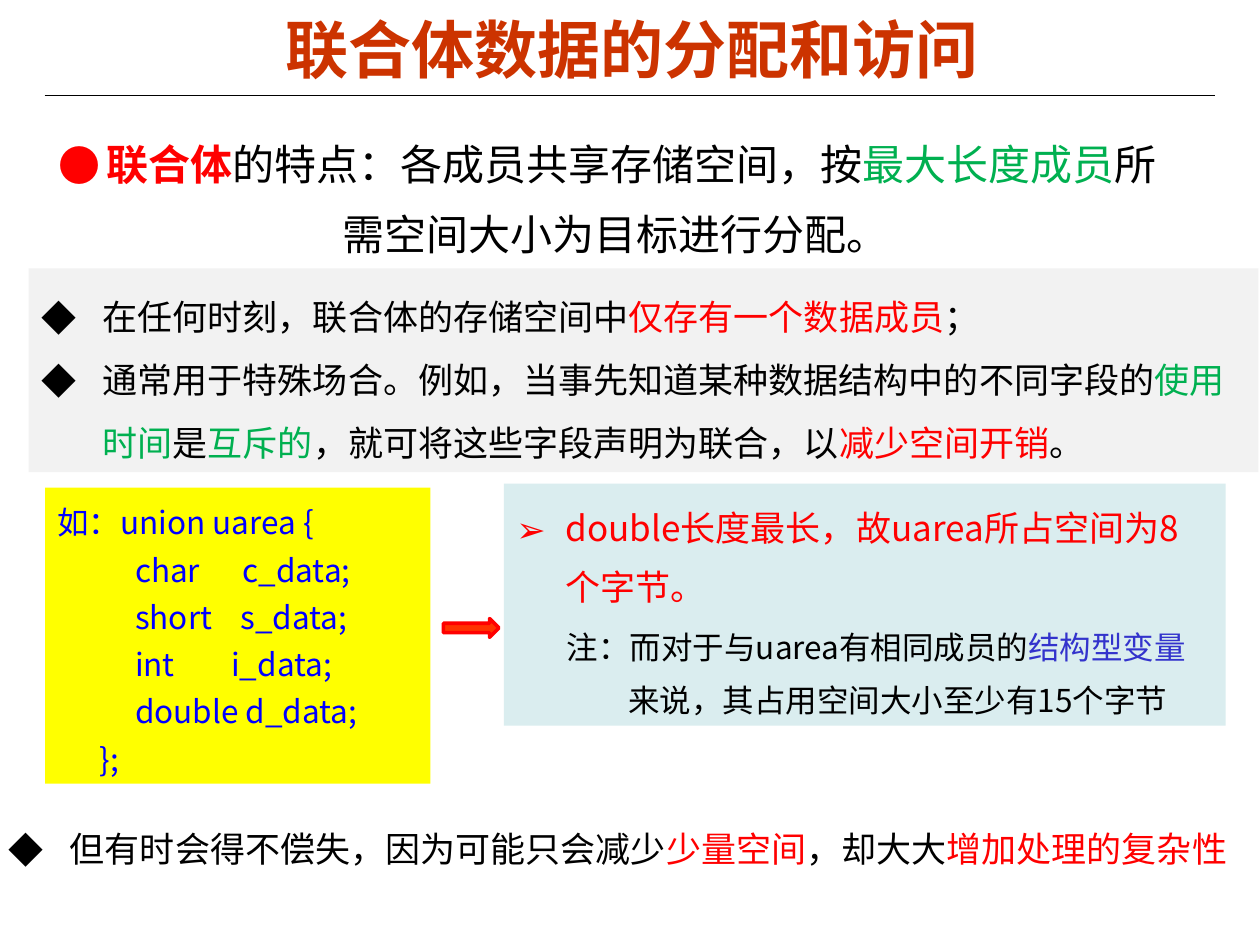
"""Build the slide on how union data is allocated and accessed."""
from dataclasses import dataclass

import pptx
import pptx.dml.color
import pptx.enum.shapes
import pptx.enum.text
import pptx.oxml
import pptx.oxml.ns
import pptx.util
from lxml import etree

Cm = pptx.util.Cm
Pt = pptx.util.Pt
RGB = pptx.dml.color.RGBColor.from_string
SHAPES = pptx.enum.shapes.MSO_SHAPE
ANCHOR = pptx.enum.text.MSO_ANCHOR
qn = pptx.oxml.ns.qn


@dataclass(frozen=True)
class Theme:
    black: str = "000000"
    red: str = "FF0000"
    green: str = "00B050"
    blue: str = "0000FF"
    violet: str = "3333CC"
    title: str = "CC3300"
    arrow: str = "FF3300"
    yellow: str = "FFFF00"
    teal: str = "DAEDEF"
    grey: str = "F2F2F2"
    sans: str = "Arial"
    cjk: str = "Noto Sans CJK SC"
    title_size: int = 36
    lead_size: int = 24
    body_size: int = 20
    small_size: int = 18


theme = Theme()


def add_panel(page, left, top, width, height, fill=None):
    """Add a wrapping text panel, filled when a colour is given."""
    box = page.shapes.add_textbox(Cm(left), Cm(top), Cm(width), Cm(height))
    box.text_frame.word_wrap = True
    if fill:
        box.fill.solid()
        box.fill.fore_color.rgb = RGB(fill)
    return box


def add_para(box, spans, size, font, spacing=1.0, margin=0, hang=0, bullet=None, before=0):
    """Add a paragraph made of (text, colour, bold) spans."""
    frame = box.text_frame
    para = frame.paragraphs[0]
    if para.runs:
        para = frame.add_paragraph()
    props = para._p.get_or_add_pPr()
    props.set("marL", str(Cm(margin)))
    props.set("indent", str(-Cm(hang)))
    if bullet:
        mark, colour = bullet
        holder = etree.SubElement(props, qn("a:buClr"))
        etree.SubElement(holder, qn("a:srgbClr"), val=colour)
        etree.SubElement(props, qn("a:buFont"), typeface=theme.cjk)
        etree.SubElement(props, qn("a:buChar"), char=mark)
    para.line_spacing = spacing
    if before:
        para.space_before = Pt(before)
    for text, colour, *bold in spans:
        span = para.add_run()
        span.text = text
        span.font.size = Pt(size)
        span.font.bold = bool(bold)
        span.font.color.rgb = RGB(colour)
        span.font.name = font
        east = etree.Element(qn("a:ea"), typeface=theme.cjk)
        span._r.rPr.find(qn("a:latin")).addnext(east)
    return para


deck = pptx.Presentation()
deck.slide_width, deck.slide_height = Cm(25.4), Cm(19.05)
page = deck.slides.add_slide(deck.slide_layouts[6])

rule = page.shapes.add_connector(
    pptx.enum.shapes.MSO_CONNECTOR.STRAIGHT, Cm(0.9), Cm(1.93), Cm(24.5), Cm(1.93))
rule.line.color.rgb = RGB(theme.black)
rule.line.width = Pt(0.75)
etree.SubElement(rule._element.spPr, qn("a:effectLst"))

heading = add_panel(page, 1.32, 0.2, 22.86, 1.55)
heading.text_frame.vertical_anchor = ANCHOR.MIDDLE
para = add_para(heading, [("联合体数据的分配和访问", theme.title, True)], theme.title_size, theme.sans)
para.alignment = pptx.enum.text.PP_ALIGN.CENTER

lead = add_panel(page, 0.94, 2.26, 23.22, 3.18)
add_para(lead, [
    ("联合体", theme.red, True),
    ("的特点：各成员共享存储空间，按", theme.black),
    ("最大长度成员", theme.green),
    ("所", theme.black),
], theme.lead_size, theme.sans, 1.4, 0.96, 0.96, ("●", theme.red))
add_para(lead, [("需空间大小为目标进行分配。", theme.black)],
         theme.lead_size, theme.sans, 1.4, 5.72)

code = add_panel(page, 0.91, 9.83, 7.77, 5.97, theme.yellow)
code.text_frame.vertical_anchor = ANCHOR.MIDDLE
for line in (
    "如：union uarea {",
    "           char      c_data;",
    "           short    s_data;",
    "           int        i_data;",
    "           double d_data;",
    "      };",
):
    add_para(code, [(line, theme.blue)], theme.small_size, theme.cjk, 1.25)

result = add_panel(page, 10.16, 9.75, 14.55, 4.88, theme.teal)
add_para(result, [("double长度最长，故uarea所占空间为8个字节。", theme.red)],
         theme.body_size, theme.cjk, 1.4, 0.99, 0.99, ("➢", theme.red))
add_para(result, [
    ("注：而对于与uarea有相同成员的", theme.black),
    ("结构型变量", theme.violet),
    ("来说，其占用空间大小至少有15个字节", theme.black),
], theme.small_size, theme.cjk, 1.4, 2.26, 1.24, before=3.4)

usage = add_panel(page, 0.58, 5.41, 24.79, 4.11, theme.grey)
caveat = add_panel(page, -0.08, 16.13, 25.27, 1.52)
for box, spans in (
    (usage, [
        ("在任何时刻，联合体的存储空间中", theme.black),
        ("仅存有一个数据成员", theme.red),
        ("；", theme.black),
    ]),
    (usage, [
        ("通常用于特殊场合。例如，当事先知道某种数据结构中的不同字段的", theme.black),
        ("使用时间", theme.green),
        ("是", theme.black),
        ("互斥的", theme.green),
        ("，就可将这些字段声明为联合，以", theme.black),
        ("减少空间开销", theme.red),
        ("。", theme.black),
    ]),
    (caveat, [
        ("但有时会得不偿失，因为可能只会减少", theme.black),
        ("少量空间", theme.red),
        ("，却大大", theme.black),
        ("增加处理的复杂性", theme.red),
    ]),
):
    add_para(box, spans, theme.body_size, theme.sans, 1.5, 1.24, 1.24, ("◆", theme.black))

arrow = page.shapes.add_shape(SHAPES.RIGHT_ARROW, Cm(8.94), Cm(12.47), Cm(1.12), Cm(0.38))
arrow.shadow.inherit = False
arrow.fill.solid()
arrow.fill.fore_color.rgb = RGB(theme.arrow)
arrow.line.color.rgb = RGB(theme.red)
arrow.line.width = Pt(2)

deck.save("out.pptx")
